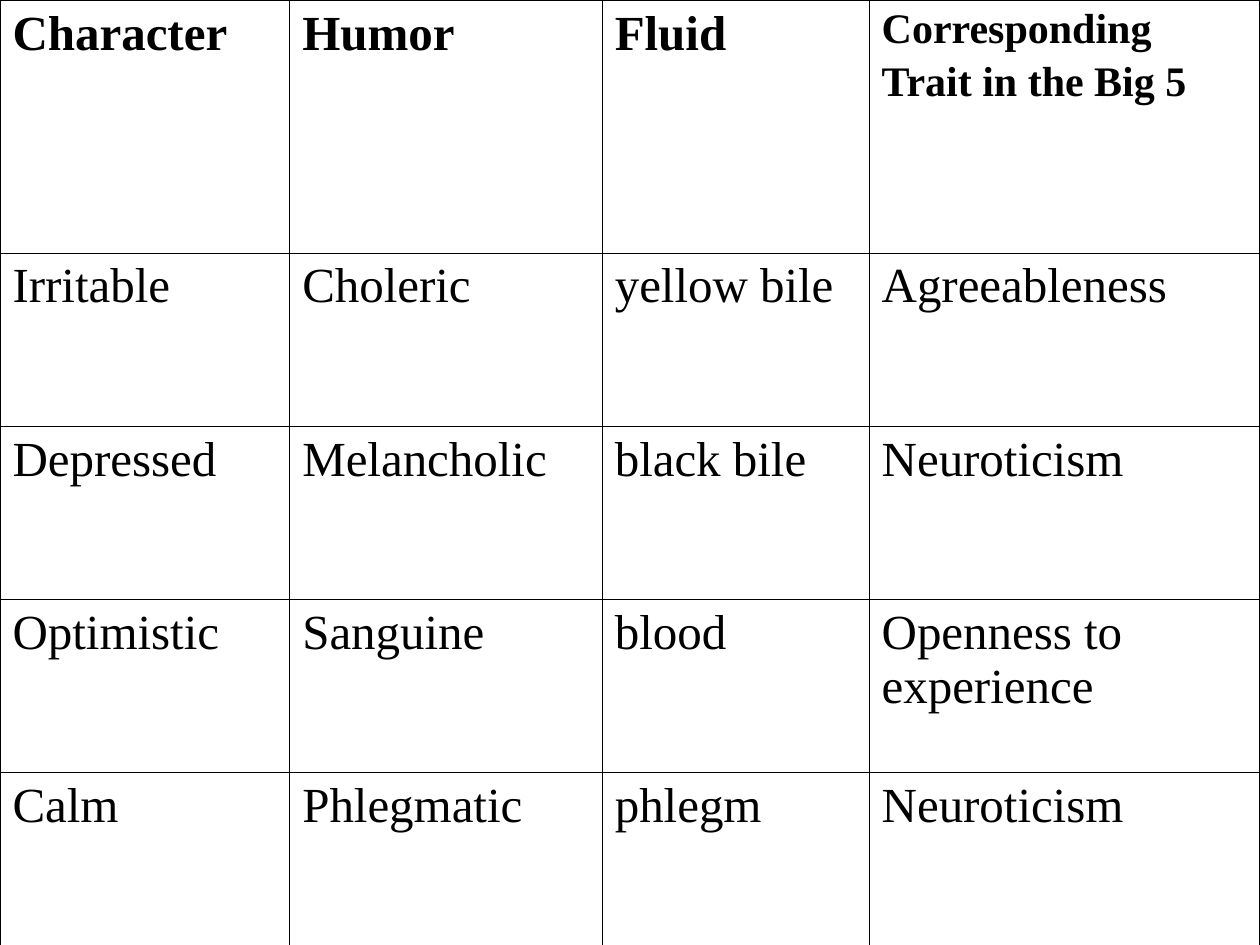
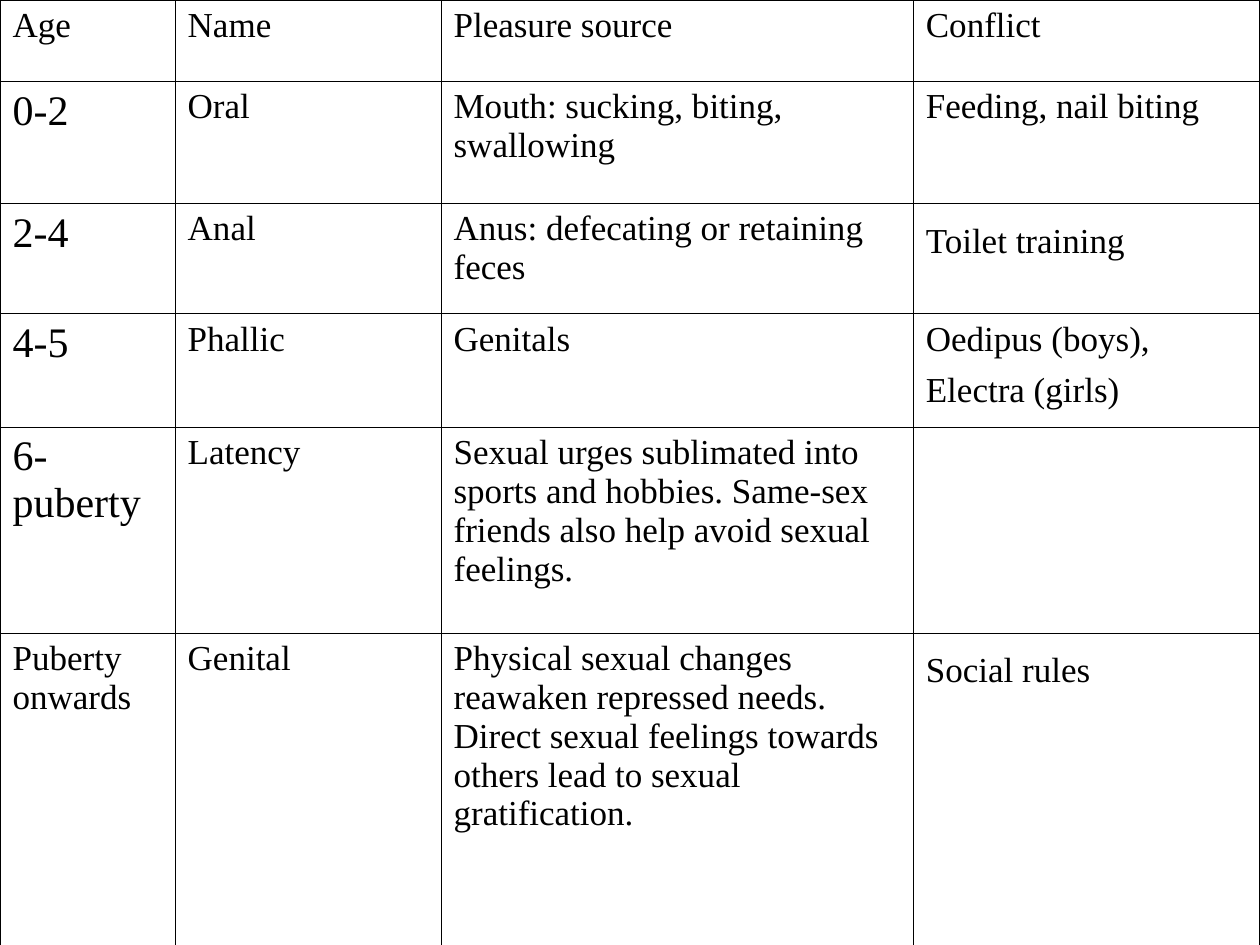
from lxml import etree
from pptx import Presentation
from pptx.dml.color import RGBColor
from pptx.oxml import ns
from pptx.util import Cm, Pt

BLACK = RGBColor(0, 0, 0)
FONT = "Times New Roman"
TAIL = 28
THICK, THIN = 1.08, 0.45

HUMORS = [
    ["Character", "Humor", "Fluid", ("Corresponding Trait in the Big 5 ", 24)],
    ["Irritable", "Choleric", "yellow bile", "Agreeableness"],
    ["Depressed", "Melancholic", "black bile", "Neuroticism"],
    ["Optimistic", "Sanguine", "blood", "Openness to experience"],
    ["Calm", "Phlegmatic", "phlegm", "Neuroticism"],
]
STAGES = [
    ["Age", "Name", "Pleasure source", "Conflict"],
    [("0-2", 24), "Oral", "Mouth: sucking, biting, swallowing",
     "Feeding, nail biting"],
    [("2-4", 24), "Anal", "Anus: defecating or retaining feces",
     "Toilet training "],
    [("4-5", 24), "Phallic", "Genitals", "Oedipus (boys), Electra (girls) "],
    [("6- puberty", 24), "Latency",
     "Sexual urges sublimated into sports and hobbies. "
     "Same-sex friends also help avoid sexual feelings.", ""],
    ["Puberty onwards", "Genital",
     "Physical sexual changes reawaken repressed needs. "
     "Direct sexual feelings towards others lead to sexual gratification.",
     "Social rules "],
]


def add_edge(cell, side, width):
    """Draw one border of a cell."""
    line = etree.SubElement(cell._tc.get_or_add_tcPr(), ns.qn(f"a:ln{side}"),
                            w=str(Pt(width)))
    fill = etree.SubElement(line, ns.qn("a:solidFill"))
    etree.SubElement(fill, ns.qn("a:srgbClr"), val=str(BLACK))


def add_text(cell, words, size, bold):
    """Write a cell's text; a closing space is set in the tail size."""
    para = cell.text_frame.paragraphs[0]
    para.font.name = FONT
    para.font.color.rgb = BLACK
    parts = [(words.rstrip(), size, bold)]
    if words.endswith(" "):
        parts.append((" ", TAIL, False))
    para.space_before = Pt(max(part[1] for part in parts) / 4)
    for chars, points, heavy in parts:
        run = para.add_run()
        run.text = chars
        run.font.size = Pt(points)
        run.font.bold = heavy


def add_grid(slide, box, data, cols, rows, size, bold=False):
    """Fill the box with a ruled table; bold marks a heavy first row."""
    grid = slide.shapes.add_table(len(rows), len(cols), *box).table
    grid.first_row = grid.horz_banding = False
    for col, width in zip(grid.columns, cols):
        col.width = Cm(width)
    for row, height in zip(grid.rows, rows):
        row.height = Cm(height)
    for y, line in enumerate(data):
        for x, item in enumerate(line):
            cell = grid.cell(y, x)
            outer = {"L": x == 0, "R": x == len(cols) - 1,
                     "T": y == 0, "B": y == len(rows) - 1}
            for side, edge in outer.items():
                add_edge(cell, side, THICK if edge else THIN)
            cell.fill.background()
            words, points = item if isinstance(item, tuple) else (item, size)
            if words:
                add_text(cell, words, points, bold and y == 0)


def main():
    """Build both slides and save them."""
    deck = Presentation()
    deck.slide_width, deck.slide_height = Cm(25.4), Cm(19.05)
    box = 0, 0, deck.slide_width, deck.slide_height
    blank = deck.slide_layouts[6]
    add_grid(deck.slides.add_slide(blank), box, HUMORS,
             [5.84, 6.3, 5.38, 7.88], [5.1] + [3.49] * 4, 28, bold=True)
    add_grid(deck.slides.add_slide(blank), box, STAGES,
             [3.53, 5.36, 9.52, 6.99],
             [1.64, 2.46, 2.22, 2.29, 4.15, 6.35], 20)
    deck.save("out.pptx")


if __name__ == "__main__":
    main()
